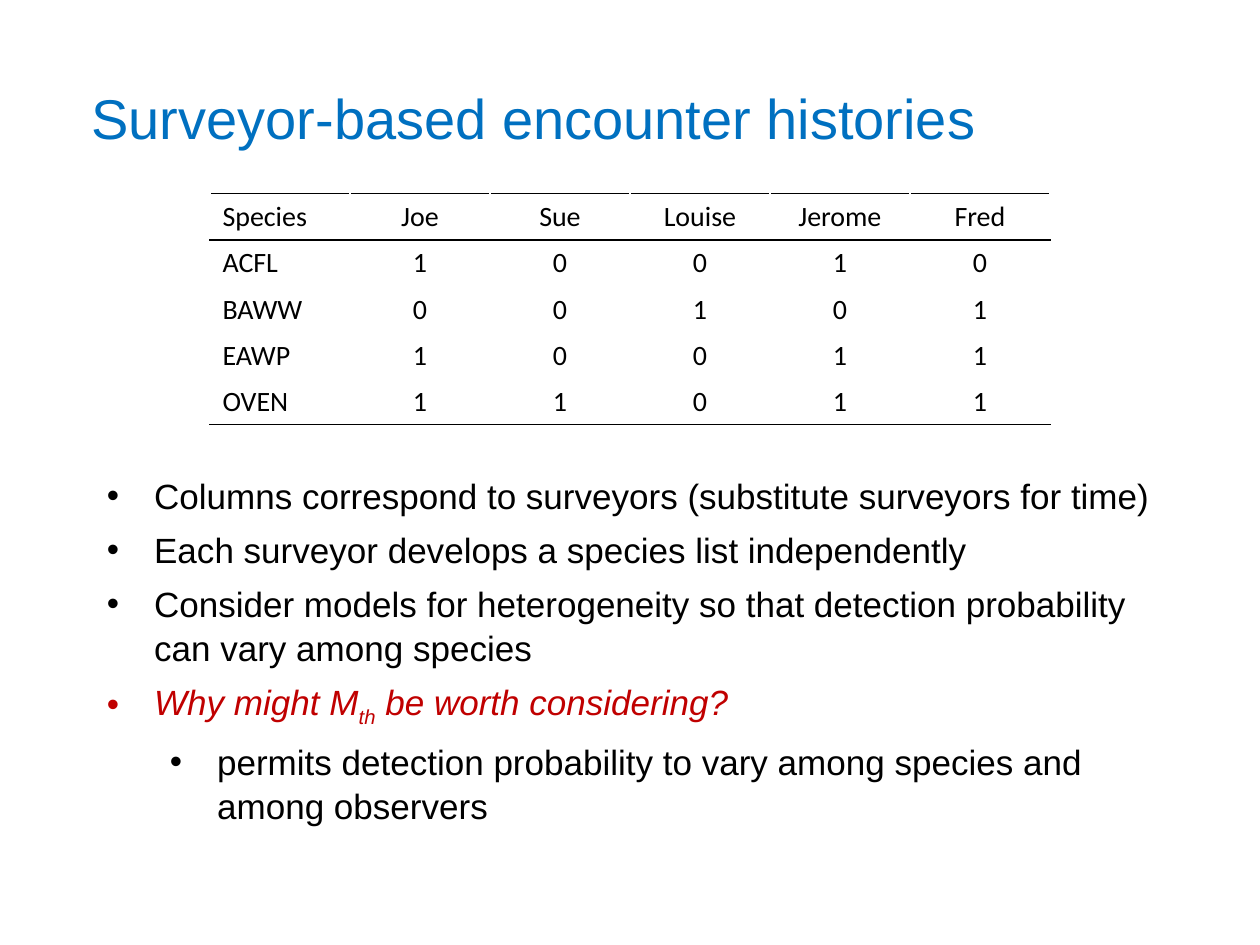
"""Build the slide on surveyor-based encounter histories."""
from dataclasses import dataclass

from lxml.etree import SubElement
from pptx import Presentation
from pptx.dml.color import RGBColor
from pptx.enum.text import MSO_ANCHOR, PP_ALIGN
from pptx.oxml.ns import qn
from pptx.slide import Slide
from pptx.util import Pt

BLACK = RGBColor(0x00, 0x00, 0x00)
WHITE = RGBColor(0xFF, 0xFF, 0xFF)
BLUE = RGBColor(0x00, 0x70, 0xC0)
RED = RGBColor(0xC0, 0x00, 0x00)

ENCOUNTERS = [
    ["Species", "Joe", "Sue", "Louise", "Jerome", "Fred"],
    ["ACFL", "1", "0", "0", "1", "0"],
    ["BAWW", "0", "0", "1", "0", "1"],
    ["EAWP", "1", "0", "0", "1", "1"],
    ["OVEN", "1", "1", "0", "1", "1"],
]


@dataclass
class SlideBuilder:
    slide: Slide
    text_font: str = "Arial"
    table_font: str = "Calibri"

    def format_span(self, span, font, size, color, italic=False):
        span.font.name = font
        span.font.size = Pt(size)
        span.font.color.rgb = color
        span.font.italic = italic

    def place(self, box, left, top, width, height):
        box.left, box.top = Pt(left), Pt(top)
        box.width, box.height = Pt(width), Pt(height)

    def title(self, text, *bounds):
        box = self.slide.shapes.title
        self.place(box, *bounds)
        box.text_frame.text = text
        box.text_frame.vertical_anchor = MSO_ANCHOR.MIDDLE
        para = box.text_frame.paragraphs[0]
        para.alignment = PP_ALIGN.LEFT
        para.line_spacing = 0.9
        self.format_span(para.runs[0], self.text_font, 32, BLUE)

    def text_box(self, *bounds):
        box = self.slide.shapes.add_textbox(*map(Pt, bounds))
        box.text_frame.word_wrap = True
        return box.text_frame

    def bullet(self, frame, parts, level=0, color=BLACK, italic=False):
        first = frame.paragraphs[0]
        para = frame.add_paragraph() if first.runs else first
        para.level = level
        para.space_after = Pt(6)
        para.line_spacing = 1.04
        for index, part in enumerate(parts):
            span = para.add_run()
            span.text = part
            self.format_span(span, self.text_font, 20, color, italic)
            if index % 2:
                span.font._element.set("baseline", "-25000")
        properties = para._p.get_or_add_pPr()
        properties.set("marL", str(Pt(27 + 36 * level)))
        properties.set("indent", str(-Pt(27)))
        SubElement(properties, qn("a:buFont"), typeface=self.text_font)
        SubElement(properties, qn("a:buChar"), char="•")

    def border(self, cell, side, color):
        line = SubElement(cell._tc.get_or_add_tcPr(), qn(f"a:ln{side}"), w=str(Pt(1)))
        fill = SubElement(line, qn("a:solidFill"))
        SubElement(fill, qn("a:srgbClr"), val=str(color))

    def table(self, rows, left, top, column_width, row_height):
        columns = len(rows[0])
        table = self.slide.shapes.add_table(
            len(rows), columns, Pt(left), Pt(top),
            Pt(column_width * columns), Pt(row_height * len(rows))).table
        table.first_row = table.horz_banding = False
        last = len(rows) - 1
        for row, values in enumerate(rows):
            for column, value in enumerate(values):
                cell = table.cell(row, column)
                cell.text_frame.text = value
                para = cell.text_frame.paragraphs[0]
                para.alignment = PP_ALIGN.CENTER if column else PP_ALIGN.LEFT
                self.format_span(para.runs[0], self.table_font, 16, BLACK)
                self.border(cell, "L", WHITE)
                self.border(cell, "R", WHITE)
                self.border(cell, "T", BLACK if row <= 1 else WHITE)
                self.border(cell, "B", BLACK if row in (0, last) else WHITE)
                cell.fill.background()


def main():
    deck = Presentation()
    deck.slide_width, deck.slide_height = Pt(720), Pt(540)
    page = SlideBuilder(deck.slides.add_slide(deck.slide_layouts[5]))
    page.title("Surveyor-based encounter histories", 45, 24.5, 612, 90)
    frame = page.text_box(54, 266.5, 612, 206.5)
    page.bullet(frame, ["Columns correspond to surveyors (substitute surveyors for time)"])
    page.bullet(frame, ["Each surveyor develops a species list independently"])
    page.bullet(frame, ["Consider models for heterogeneity so that detection "
                        "probability can vary among species"])
    page.bullet(frame, ["Why might M", "th", " be worth considering?"],
                color=RED, italic=True)
    page.bullet(frame, ["permits detection probability to vary among species "
                        "and among observers"], level=1)
    page.table(ENCOUNTERS, 120, 110.6, 80, 26.4)
    deck.save("out.pptx")


if __name__ == "__main__":
    main()
